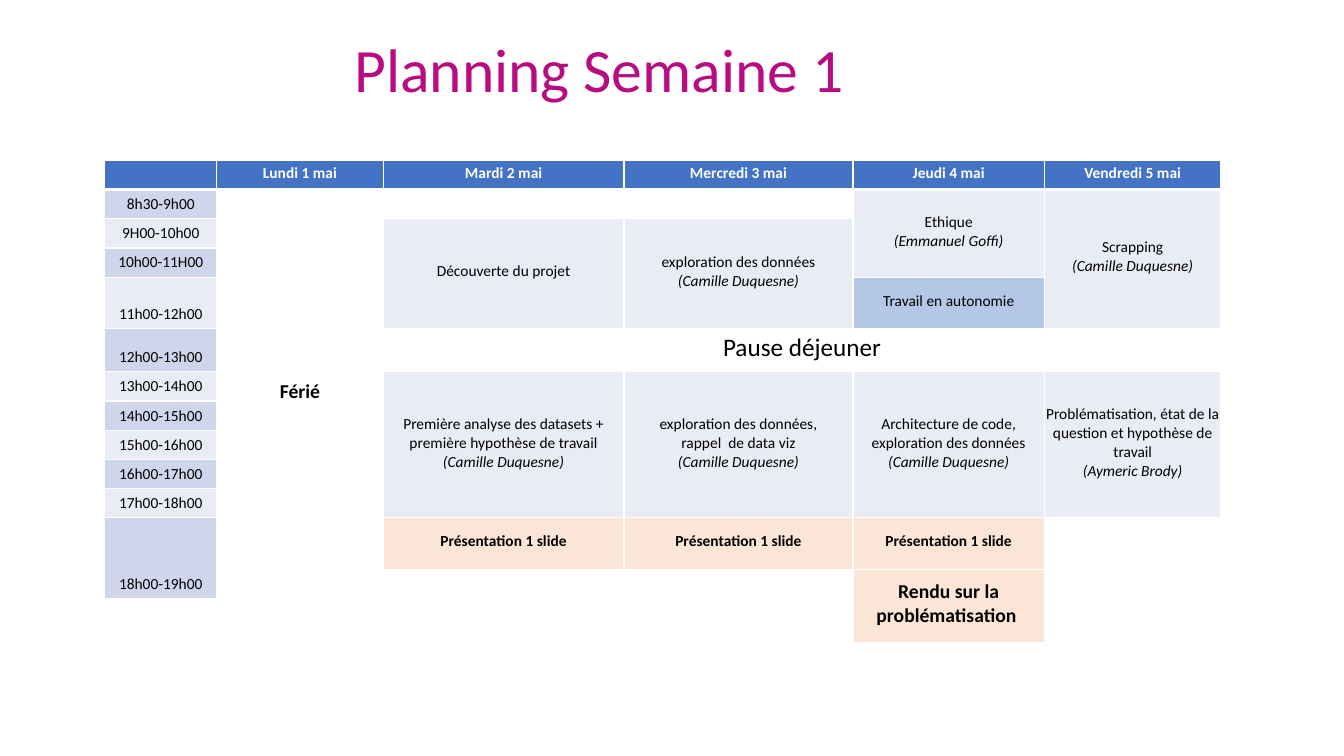
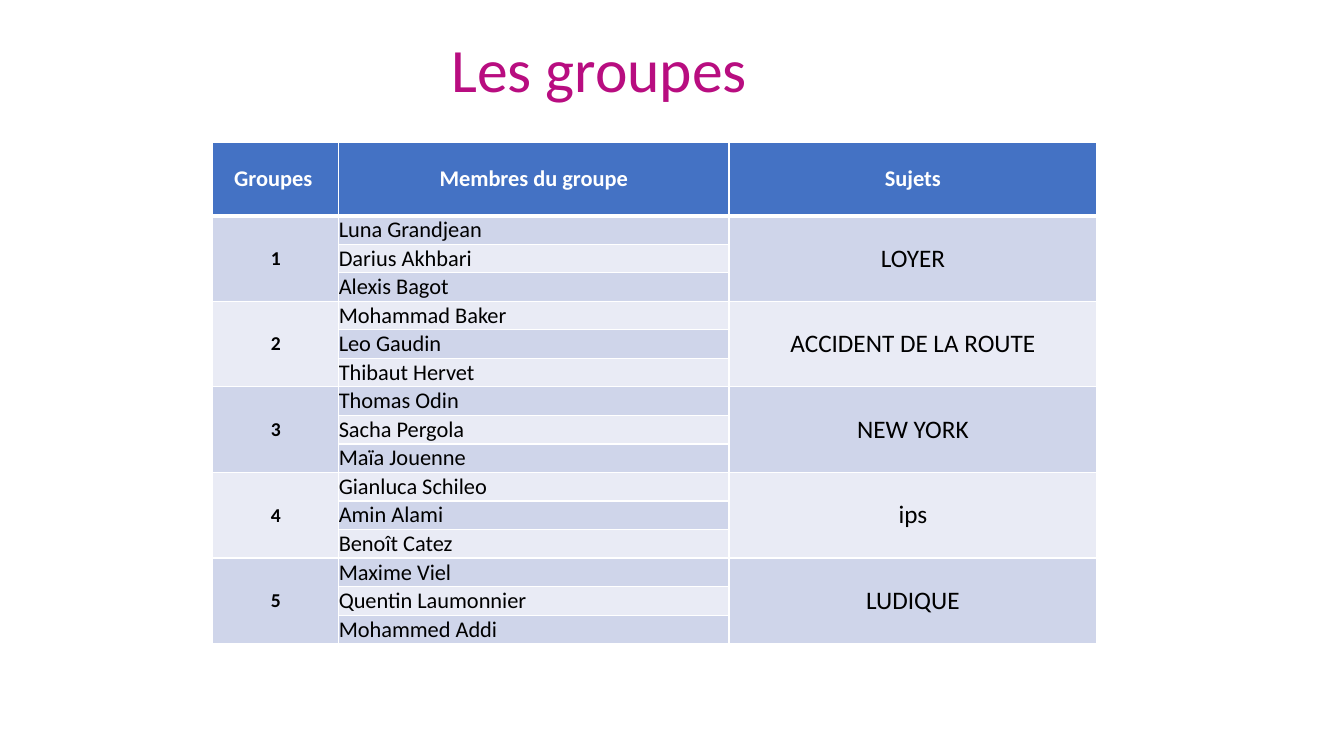
"""Build the week planning slide and the project groups slide."""
import lxml.etree
import pptx
import pptx.dml.color
import pptx.enum.text
import pptx.oxml.ns
import pptx.util

Inches = pptx.util.Inches
RGBColor = pptx.dml.color.RGBColor
ALIGN = pptx.enum.text.PP_ALIGN
ANCHOR = pptx.enum.text.MSO_ANCHOR
qn = pptx.oxml.ns.qn

MAGENTA = RGBColor(0xB8, 0x0D, 0x80)
BLUE = RGBColor(0x44, 0x72, 0xC4)
SKY = RGBColor(0xB4, 0xC7, 0xE7)
MID = RGBColor(0xCF, 0xD5, 0xEA)
PALE = RGBColor(0xE9, 0xEB, 0xF5)
PEACH = RGBColor(0xFB, 0xE5, 0xD6)
WHITE = RGBColor(0xFF, 0xFF, 0xFF)
BLACK = RGBColor(0x00, 0x00, 0x00)

FONT = "Calibri"

DAYS = ["Lundi 1 mai", "Mardi 2 mai", "Mercredi 3 mai", "Jeudi 4 mai", "Vendredi 5 mai"]
HOURS = [
    "8h30-9h00", "9H00-10h00", "10h00-11H00", "11h00-12h00", "12h00-13h00", "13h00-14h00",
    "14h00-15h00", "15h00-16h00", "16h00-17h00", "17h00-18h00", "18h00-19h00",
]
COURSES = [
    (2, 2, 3, "Découverte du projet", ""),
    (2, 3, 3, "exploration des données\n", "(Camille Duquesne)"),
    (1, 4, 3, "Ethique\n", "(Emmanuel Goffi)"),
    (1, 5, 4, "Scrapping\n", "(Camille Duquesne)"),
    (6, 2, 5, "Première analyse des datasets + première hypothèse de travail\n", "(Camille Duquesne)"),
    (6, 3, 5, "exploration des données,\nrappel  de data viz\n", "(Camille Duquesne)"),
    (6, 4, 5, "Architecture de code,\nexploration des données\n", "(Camille Duquesne)"),
    (6, 5, 5, "Problématisation, état de la question et hypothèse de travail\n", "(Aymeric Brody)"),
]
GROUPS = [
    ("LOYER", ["Luna Grandjean", "Darius Akhbari", "Alexis Bagot"]),
    ("ACCIDENT DE LA ROUTE", ["Mohammad Baker", "Leo Gaudin", "Thibaut Hervet"]),
    ("NEW YORK", ["Thomas Odin", "Sacha Pergola", "Maïa Jouenne"]),
    ("ips", ["Gianluca Schileo", "Amin Alami", "Benoît Catez"]),
    ("LUDIQUE", ["Maxime Viel", "Quentin Laumonnier", "Mohammed Addi"]),
]


def band(number):
    return MID if number % 2 else PALE


class Deck:
    def __init__(self):
        self.deck = pptx.Presentation()
        self.deck.slide_width = Inches(13.33)
        self.deck.slide_height = Inches(7.5)
        self.page = None
        self.table = None

    def add_page(self, title):
        self.page = self.deck.slides.add_slide(self.deck.slide_layouts[6])
        box = self.page.shapes.add_textbox(Inches(0.78), Inches(0.26), Inches(10.33), Inches(0.84))
        frame = box.text_frame
        frame.word_wrap = True
        frame.auto_size = pptx.enum.text.MSO_AUTO_SIZE.SHAPE_TO_FIT_TEXT
        para = frame.paragraphs[0]
        para.alignment = ALIGN.CENTER
        self.add_text(para, title, 44, MAGENTA)

    def add_text(self, para, text, size, colour, bold=False, italic=False):
        for number, line in enumerate(text.split("\n")):
            if number:
                para.add_line_break()
            if line:
                span = para.add_run()
                span.text = line
                span.font.name = FONT
                span.font.size = pptx.util.Pt(size)
                span.font.color.rgb = colour
                span.font.bold = bold
                span.font.italic = italic

    def add_table(self, left, top, widths, heights, margins):
        frame = self.page.shapes.add_table(
            len(heights), len(widths), Inches(left), Inches(top),
            Inches(sum(widths)), Inches(sum(heights)))
        self.table = frame.table
        self.table.first_row = False
        self.table.horz_banding = False
        for column, width in zip(self.table.columns, widths):
            column.width = Inches(width)
        for number, (row, height) in enumerate(zip(self.table.rows, heights)):
            row.height = Inches(height)
            for cell in row.cells:
                cell.margin_left, cell.margin_top, cell.margin_right, cell.margin_bottom = map(Inches, margins)
                self.add_borders(cell, number)
                cell.fill.solid()
                cell.fill.fore_color.rgb = WHITE
                para = cell.text_frame.paragraphs[0]
                lxml.etree.SubElement(para._p, qn("a:endParaRPr"), sz="1100")

    def add_borders(self, cell, row):
        properties = cell._tc.get_or_add_tcPr()
        thick_side = {0: "B", 1: "T"}.get(row)
        for side in "LRTB":
            width = pptx.util.Pt(3 if side == thick_side else 1)
            line = lxml.etree.SubElement(properties, qn("a:ln" + side), w=str(width))
            fill = lxml.etree.SubElement(line, qn("a:solidFill"))
            lxml.etree.SubElement(fill, qn("a:srgbClr"), val=str(WHITE))

    def fill_cell(self, row, column, text, size, fill, note="", colour=BLACK, bold=False,
                  rows=1, columns=1, align=ALIGN.CENTER, anchor=ANCHOR.MIDDLE):
        cell = self.table.cell(row, column)
        if rows * columns > 1:
            cell.merge(self.table.cell(row + rows - 1, column + columns - 1))
        cell.fill.solid()
        cell.fill.fore_color.rgb = fill
        cell.vertical_anchor = anchor
        para = cell.text_frame.paragraphs[0]
        para.alignment = align
        self.add_text(para, text, size, colour, bold)
        self.add_text(para, note, size, colour, bold, italic=True)

    def fill_header(self, labels, size):
        for column, label in enumerate(labels):
            self.fill_cell(0, column, label, size, BLUE, colour=WHITE, bold=True)

    def add_planning(self):
        self.add_page("Planning Semaine 1")
        heights = [0.29] * 4 + [0.51, 0.43] + [0.29] * 5 + [0.51, 0.29, 0.44]
        self.add_table(1.04, 1.59, [1.11, 1.65, 2.39, 2.27, 1.9, 1.75], heights, (0.01, 0.01, 0.01, 0.05))
        self.fill_header([""] + DAYS, 11)
        for row, hour in enumerate(HOURS, 1):
            self.fill_cell(row, 0, hour, 11, band(row), rows=2 if row == len(HOURS) else 1,
                           anchor=ANCHOR.BOTTOM)
        self.fill_cell(1, 1, "Férié", 14, WHITE, bold=True, rows=12)
        for row, column, rows, topic, teacher in COURSES:
            self.fill_cell(row, column, topic, 11, PALE, note=teacher, rows=rows)
        self.fill_cell(4, 4, "Travail en autonomie", 11, SKY)
        self.fill_cell(5, 2, "Pause déjeuner", 18, WHITE, columns=4)
        for column in (2, 3, 4):
            self.fill_cell(11, column, "Présentation 1 slide", 11, PEACH, bold=True)
        self.fill_cell(12, 4, "Rendu sur la problématisation ", 14, PEACH, bold=True, rows=2)

    def add_groups(self):
        self.add_page("Les groupes")
        header_height = 0.73
        member_count = sum(len(members) for _, members in GROUPS)
        member_height = (4.98 - header_height) / member_count
        self.add_table(2.11, 1.41, [1.25, 3.87, 3.65],
                       [header_height] + [member_height] * member_count, (0, 0, 0, 0))
        self.fill_header(["Groupes ", "Membres du groupe", "Sujets"], 16)
        row = 1
        for number, (subject, members) in enumerate(GROUPS, 1):
            self.fill_cell(row, 0, str(number), 14, band(number), bold=True, rows=len(members))
            self.fill_cell(row, 2, subject, 18, band(number), rows=len(members))
            for member in members:
                self.fill_cell(row, 1, member, 16, band(row), align=ALIGN.LEFT)
                row += 1


def main():
    planner = Deck()
    planner.add_planning()
    planner.add_groups()
    planner.deck.save("out.pptx")


if __name__ == "__main__":
    main()
